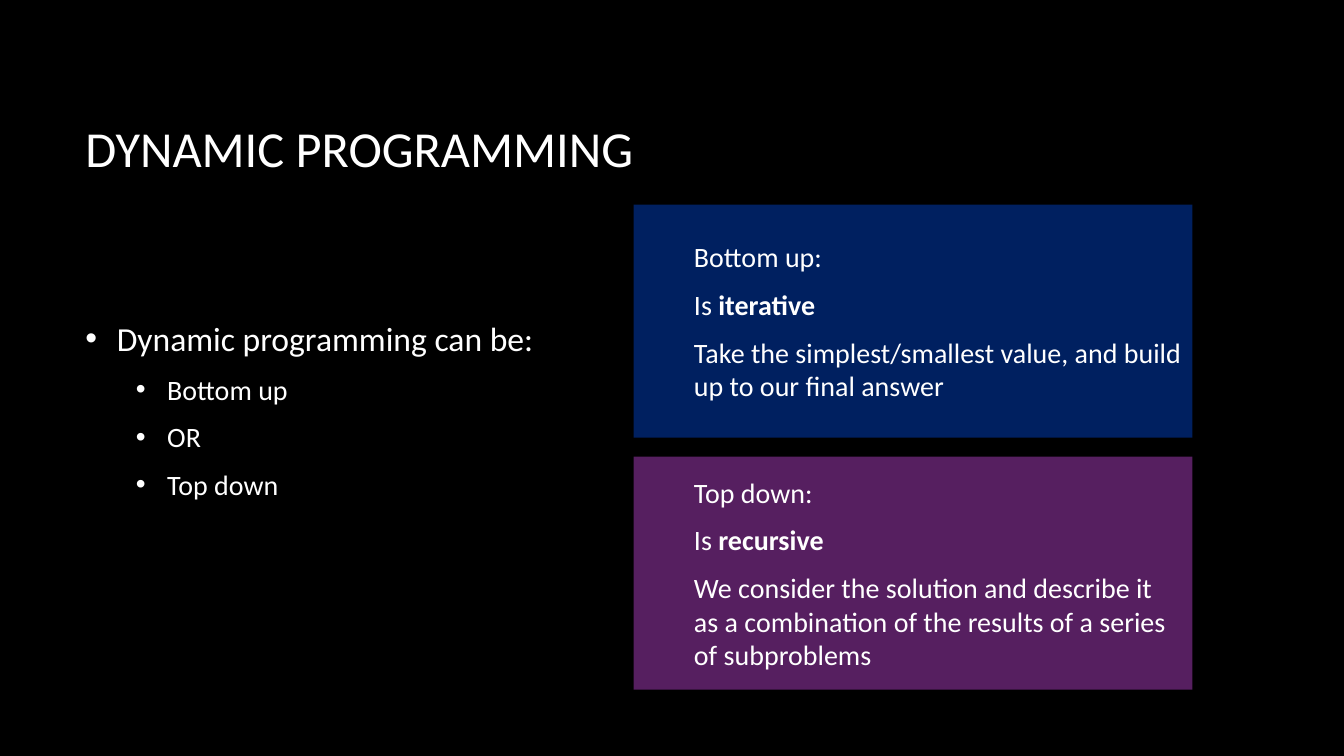
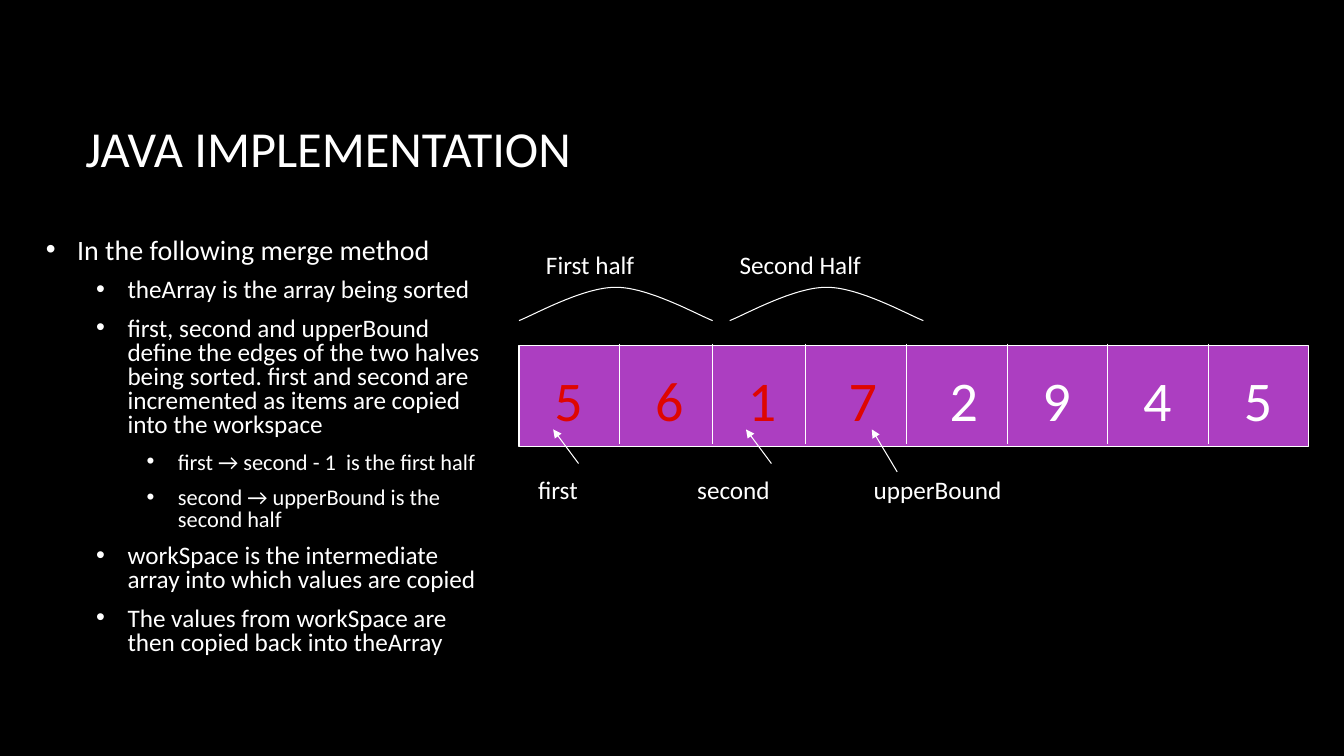
from itertools import accumulate

from pptx import Presentation
from pptx.dml.color import RGBColor
from pptx.enum.shapes import MSO_CONNECTOR, MSO_SHAPE
from pptx.enum.text import MSO_ANCHOR, MSO_AUTO_SIZE, PP_ALIGN
from pptx.oxml.ns import qn
from pptx.util import Cm, Pt
from lxml.etree import SubElement

FONT = "Calibri"
BLACK, WHITE, RED = "000000", "FFFFFF", "DF0601"
NAVY, PLUM, VIOLET = "002060", "561F60", "AC3EC1"
TITLE = (1.9, 1.7, 28.15, 4.03)
RULE = 0.75


def color(code):
    return RGBColor.from_string(code)


def paint(shape, code):
    shape.fill.solid()
    shape.fill.fore_color.rgb = color(code)


def stroke(shape):
    shape.line.color.rgb = color(WHITE)
    shape.line.width = Pt(RULE)


def style(para, size, code=WHITE):
    for run in para.runs:
        run.font.name = FONT
        run.font.size = Pt(size)
        run.font.color.rgb = color(code)


def place(shape, box):
    shape.left, shape.top, shape.width, shape.height = map(Cm, box)


def indent(para, left, hang=0):
    props = para._p.get_or_add_pPr()
    props.set("marL", str(Cm(left)))
    props.set("indent", str(-Cm(hang)))
    return props


def bullet(para):
    props = indent(para, 0.79 + 1.27 * para.level, 0.79)
    tint = SubElement(props, qn("a:buClr"))
    SubElement(tint, qn("a:srgbClr"), val=WHITE)
    SubElement(props, qn("a:buFont"), typeface="Arial")
    SubElement(props, qn("a:buChar"), char="•")


def start(deck, title):
    """Add a slide with its title."""
    slide = deck.slides.add_slide(deck.slide_layouts[1])
    head = slide.shapes.title
    place(head, TITLE)
    frame = head.text_frame
    frame.text = title
    frame.auto_size = MSO_AUTO_SIZE.NONE
    frame.vertical_anchor = MSO_ANCHOR.MIDDLE
    para = frame.paragraphs[0]
    para.alignment = PP_ALIGN.LEFT
    style(para, 36)
    return slide


def outline(slide, box, items, sizes, lead=1.0):
    """Fill the body with (level, text) items, sized by level."""
    body = slide.placeholders[1]
    place(body, box)
    frame = body.text_frame
    frame.text = "\n".join(text for _, text in items)
    frame.auto_size = MSO_AUTO_SIZE.NONE
    frame.vertical_anchor = MSO_ANCHOR.MIDDLE
    for para, (level, _) in zip(frame.paragraphs, items):
        para.level = level
        para.line_spacing = lead
        para.space_before, para.space_after = Pt(0), Pt(10)
        bullet(para)
        style(para, sizes[level])


def block(slide, box, code):
    shape = slide.shapes.add_shape(MSO_SHAPE.RECTANGLE, *map(Cm, box))
    shape.shadow.inherit = False
    paint(shape, code)
    return shape


def panel(slide, box, code, name, kind, about):
    shape = block(slide, box, code)
    shape.line.fill.background()
    frame = shape.text_frame
    frame.word_wrap = True
    frame.vertical_anchor = MSO_ANCHOR.MIDDLE
    frame.text = "\n".join((name, "Is ", about))
    strong = frame.paragraphs[1].add_run()
    strong.text = kind
    strong.font.bold = True
    for para in frame.paragraphs:
        para.alignment = PP_ALIGN.LEFT
        para.space_after = Pt(10)
        indent(para, 1.27)
        style(para, 20)


def label(slide, box, text, size=18, code=WHITE):
    frame = slide.shapes.add_textbox(*map(Cm, box)).text_frame
    frame.word_wrap = True
    frame.text = text
    style(frame.paragraphs[0], size, code)


def rule(slide, x1, y1, x2, y2, arrow=False):
    line = slide.shapes.add_connector(
        MSO_CONNECTOR.STRAIGHT, Cm(x1), Cm(y1), Cm(x2), Cm(y2))
    stroke(line)
    if arrow:
        SubElement(line.line._get_or_add_ln(), qn("a:tailEnd"), type="triangle")
    SubElement(line._element.spPr, qn("a:effectLst"))


def arch(slide, x, y, wide, high, steps=24):
    """Draw a symmetric bell curve from two cubic arcs."""
    knots = (0, 1), (0.08, 0.82), (0.33, 0), (0.5, 0)
    half = []
    for step in range(steps + 1):
        t = step / steps
        parts = ((1 - t) ** 3, 3 * t * (1 - t) ** 2, 3 * t * t * (1 - t), t ** 3)
        half.append([sum(w * k[axis] for w, k in zip(parts, knots))
                     for axis in (0, 1)])
    curve = half + [(1 - u, v) for u, v in half[-2::-1]]
    dots = [(Cm(x + u * wide), Cm(y + v * high)) for u, v in curve]
    pen = slide.shapes.build_freeform(*dots[0])
    pen.add_line_segments(dots[1:], close=False)
    shape = pen.convert_to_shape()
    shape.shadow.inherit = False
    shape.fill.background()
    stroke(shape)


def array(slide, box):
    """Draw the cells, with halves above and pointers below."""
    left, top, _, high = box
    stroke(block(slide, box, VIOLET))
    wide, slim = 2.54, 2.34
    for edge in accumulate((wide, slim, slim, wide, wide, wide, wide)):
        rule(slide, left + edge, top - 0.05, left + edge, top + high - 0.05)
    spots = accumulate((0.64, wide, slim, wide, wide, slim, wide, wide))
    for spot, (digit, code) in zip(spots, zip("56172945", [RED] * 4 + [WHITE] * 4)):
        label(slide, (left + spot, top + 0.38, 1.27, 1.96), digit, 40, code)
    for text, near, far, width in (("First half", 0, 0.43, 3.38),
                                   ("Second Half", 5.31, 5.31, 4.45)):
        label(slide, (left + far, top - 2.54, width, 1.09), text)
        arch(slide, left + near, top - 1.47, 4.88, 0.84)
    for text, tip, drop, shift, width in (("first", 0.86, 2.97, 0.23, 2.97),
                                          ("second", 5.72, 2.97, 4.24, 4.24),
                                          ("upperBound", 8.89, 3.18, 8.69, 4.01)):
        rule(slide, left + tip + 0.64, top + drop, left + tip, top + 2.11, True)
        label(slide, (left + shift, top + 3.12, width, 1.09), text)


def dynamic(deck):
    slide = start(deck, "DYNAMIC PROGRAMMING")
    outline(slide, (1.9, 5.95, 12.17, 8.74), (
        (0, "Dynamic programming can be:"),
        (1, "Bottom up"),
        (1, "OR"),
        (1, "Top down"),
    ), (24, 20))
    cards = (
        (NAVY, "Bottom up:", "iterative",
         "Take the simplest/smallest value, and build up to our final answer"),
        (PLUM, "Top down:", "recursive",
         "We consider the solution and describe it as a combination of "
         "the results of a series of subproblems"),
    )
    for row, card in enumerate(cards):
        panel(slide, (15.97, 5.16 + 6.35 * row, 14.08, 5.87), *card)


def merge(deck):
    slide = start(deck, "JAVA IMPLEMENTATION")
    outline(slide, (0.9, 4.9, 11.78, 12.75), (
        (0, "In the following merge method"),
        (1, "theArray is the array being sorted"),
        (1, "first, second and upperBound define the edges of the two halves "
            "being sorted. first and second are incremented as items are "
            "copied into the workspace"),
        (2, "first → second - 1  is the first half"),
        (2, "second → upperBound is the second half"),
        (1, "workSpace is the intermediate array into which values are copied"),
        (1, "The values from workSpace are then copied back into theArray"),
    ), (20, 18, 16), 0.8)
    array(slide, (13.08, 8.71, 19.89, 2.54))


def main():
    deck = Presentation()
    deck.slide_width, deck.slide_height = Cm(33.87), Cm(19.05)
    paint(deck.slide_master.background, BLACK)
    dynamic(deck)
    merge(deck)
    deck.save("out.pptx")


if __name__ == "__main__":
    main()
